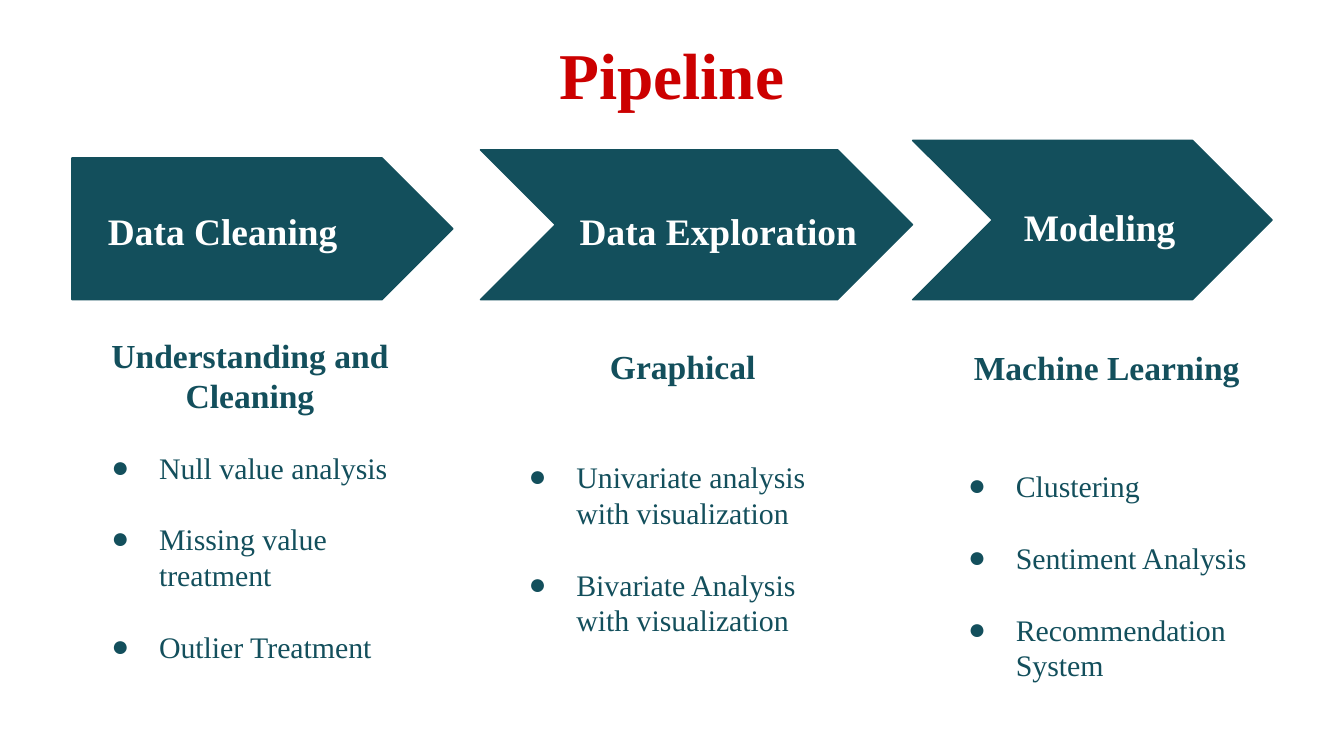
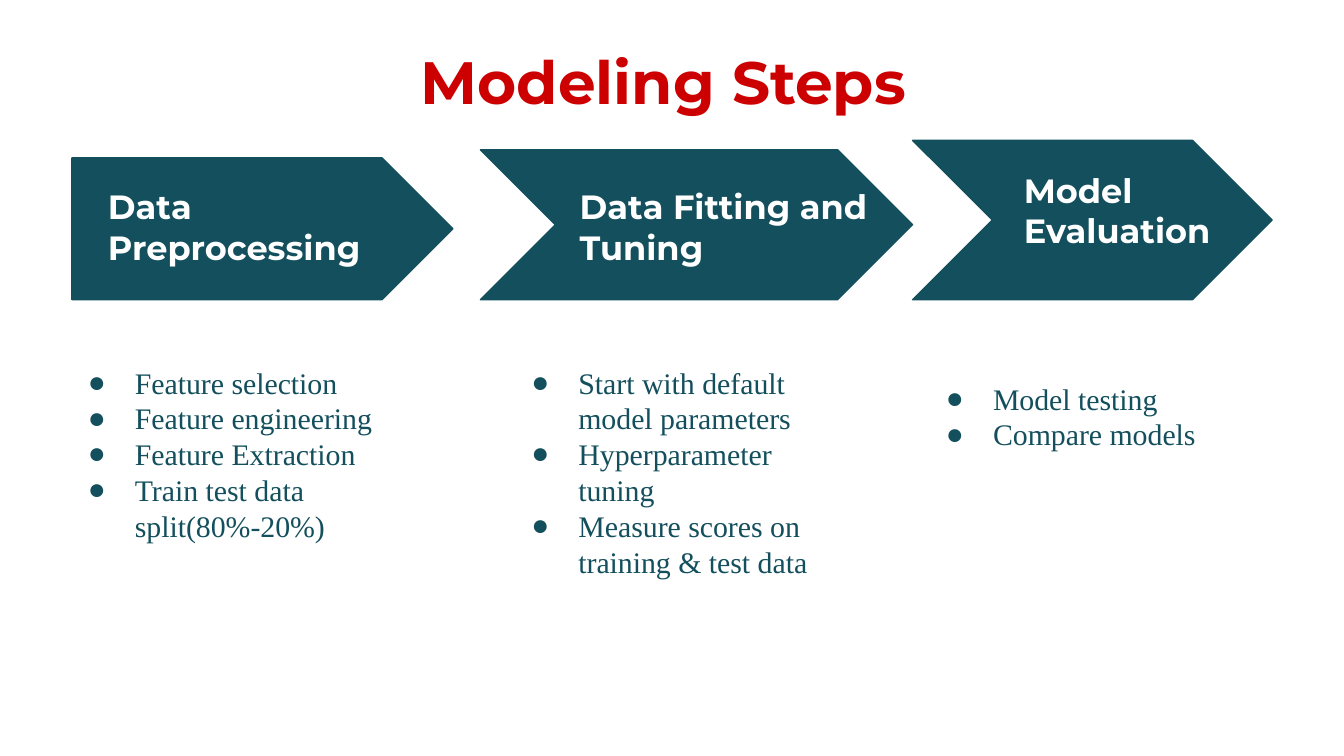
from pptx import Presentation
from pptx.dml.color import RGBColor
from pptx.enum.shapes import MSO_SHAPE as SHAPE
from pptx.enum.text import MSO_ANCHOR as ANCHOR, MSO_AUTO_SIZE as FIT, PP_ALIGN as ALIGN
from pptx.oxml import parse_xml
from pptx.oxml.ns import nsdecls
from pptx.util import Pt

PX = 4572
WIDTH, HEIGHT = 2000, 1125
TEAL, RED, WHITE = "134F5C", "CC0000", "FFFFFF"
SERIF, SANS = "Times New Roman", "Montserrat"
BOTTOM = 446
ARROWS = [
    (SHAPE.PENTAGON, 107, 235, 567),
    (SHAPE.CHEVRON, 715, 223, 643),
    (SHAPE.CHEVRON, 1358, 209, 535),
]
LABELS = [(141, 428), (843, 482), (1504, 428)]

SLIDES = [
    {
        "title": "Pipeline", "title_top": 31, "title_size": 35,
        "font": SERIF, "label_size": 20, "label_height": 108,
        "hanging": 71, "item_gap": 19.2,
        "steps": [
            {"label": "Data Cleaning", "label_top": 290,
             "box": (117, 478, 510, 536),
             "heading": "Understanding and Cleaning", "heading_gap": 18.2,
             "items": ["Null value analysis", "Missing value treatment", "Outlier Treatment"]},
            {"label": "Data Exploration", "label_top": 290,
             "box": (738, 495, 556, 478),
             "heading": "Graphical", "heading_gap": 38.8,
             "items": ["Univariate analysis with visualization",
                       "Bivariate Analysis\nwith visualization"]},
            {"label": "Modeling", "label_top": 284,
             "box": (1392, 496, 510, 546),
             "heading": "Machine Learning", "heading_gap": 43.4,
             "items": ["Clustering", "Sentiment Analysis", "Recommendation System"]},
        ],
    },
    {
        "title": "Modeling Steps ", "title_top": 47, "title_size": 32,
        "font": SANS, "label_size": 18, "label_height": 162,
        "hanging": 70, "item_gap": 0,
        "steps": [
            {"label": "Data Preprocessing", "label_top": 257,
             "box": (81, 522, 548, 310),
             "items": ["Feature selection", "Feature engineering", "Feature Extraction",
                       "Train test data split(80%-20%)"]},
            {"label": "Data Fitting and Tuning", "label_top": 257,
             "box": (741, 522, 518, 364),
             "items": ["Start with default model parameters", "Hyperparameter tuning",
                       "Measure scores on training & test data"]},
            {"label": "Model Evaluation", "label_top": 233,
             "box": (1358, 546, 518, 148), "align": ALIGN.JUSTIFY,
             "items": ["Model testing", "Compare models"]},
        ],
    },
]


def rgb(color):
    return RGBColor.from_string(color)


def set_all(obj, values):
    for name, value in values.items():
        setattr(obj, name, value)


def place(sp, left, top, width, height):
    set_all(sp, {"left": left * PX, "top": top * PX, "width": width * PX, "height": height * PX})


def set_frame(tf, fit):
    margins = {f"margin_{side}": 20 * PX for side in ("left", "top", "right", "bottom")}
    set_all(tf, {**margins, "word_wrap": True, "auto_size": fit, "vertical_anchor": ANCHOR.TOP})


def write(p, text, font, size, color, bold=False, align=ALIGN.LEFT, before=0):
    set_all(p, {"alignment": align, "space_before": Pt(before), "space_after": Pt(0)})
    r = p.add_run()
    r.text = text
    set_all(r.font, {"name": font, "size": Pt(size), "bold": bold})
    r.font.color.rgb = rgb(color)


def indent(p, hanging, bullet):
    pPr = p._p.get_or_add_pPr()
    pPr.set("marL", str(100 * PX))
    pPr.set("indent", str(-hanging * PX if bullet else 0))
    if bullet:
        ns = nsdecls("a")
        for xml in (f'<a:buClr {ns}><a:srgbClr val="{TEAL}"/></a:buClr>',
                    f'<a:buFont {ns} typeface="{SERIF}"/>',
                    f'<a:buChar {ns} char="●"/>'):
            pPr.append(parse_xml(xml))


def add_box(slide, rect):
    sp = slide.shapes.add_textbox(0, 0, 0, 0)
    place(sp, *rect)
    set_frame(sp.text_frame, FIT.SHAPE_TO_FIT_TEXT)
    return sp.text_frame


def add_title(slide, data):
    sp = slide.shapes.title
    place(sp, 68, data["title_top"], WIDTH - 2 * 68, 126)
    set_frame(sp.text_frame, FIT.NONE)
    write(sp.text_frame.paragraphs[0], data["title"], data["font"], data["title_size"],
          RED, True, ALIGN.CENTER)


def add_arrow(slide, kind, left, top, width):
    sp = slide.shapes.add_shape(kind, 0, 0, 0, 0)
    place(sp, left, top, width, BOTTOM - top)
    sp.shadow.inherit = False
    sp.fill.solid()
    sp.fill.fore_color.rgb = rgb(TEAL)
    sp.line.color.rgb = rgb(TEAL)
    sp.line.width = Pt(0.75)


def add_label(slide, data, step, left, width):
    tf = add_box(slide, (left, step["label_top"], width, data["label_height"]))
    write(tf.paragraphs[0], step["label"], data["font"], data["label_size"], WHITE, True)


def add_details(slide, data, step):
    tf = add_box(slide, step["box"])
    p = tf.paragraphs[0]
    before = 0
    if "heading" in step:
        write(p, step["heading"], SERIF, 18, TEAL, True, ALIGN.CENTER)
        p = tf.add_paragraph()
        before = step["heading_gap"]
    for i, item in enumerate(step["items"]):
        for j, line in enumerate(item.split("\n")):
            if i or j:
                p = tf.add_paragraph()
                before = 0 if j else data["item_gap"]
            write(p, line, SERIF, 16, TEAL, align=step.get("align", ALIGN.LEFT), before=before)
            indent(p, data["hanging"], bullet=j == 0)


def main():
    prs = Presentation()
    set_all(prs, {"slide_width": WIDTH * PX, "slide_height": HEIGHT * PX})
    for data in SLIDES:
        slide = prs.slides.add_slide(prs.slide_layouts[5])
        add_title(slide, data)
        for arrow in ARROWS:
            add_arrow(slide, *arrow)
        for step, label in zip(data["steps"], LABELS):
            add_label(slide, data, step, *label)
        for step in data["steps"]:
            add_details(slide, data, step)
    prs.save("out.pptx")


if __name__ == "__main__":
    main()
